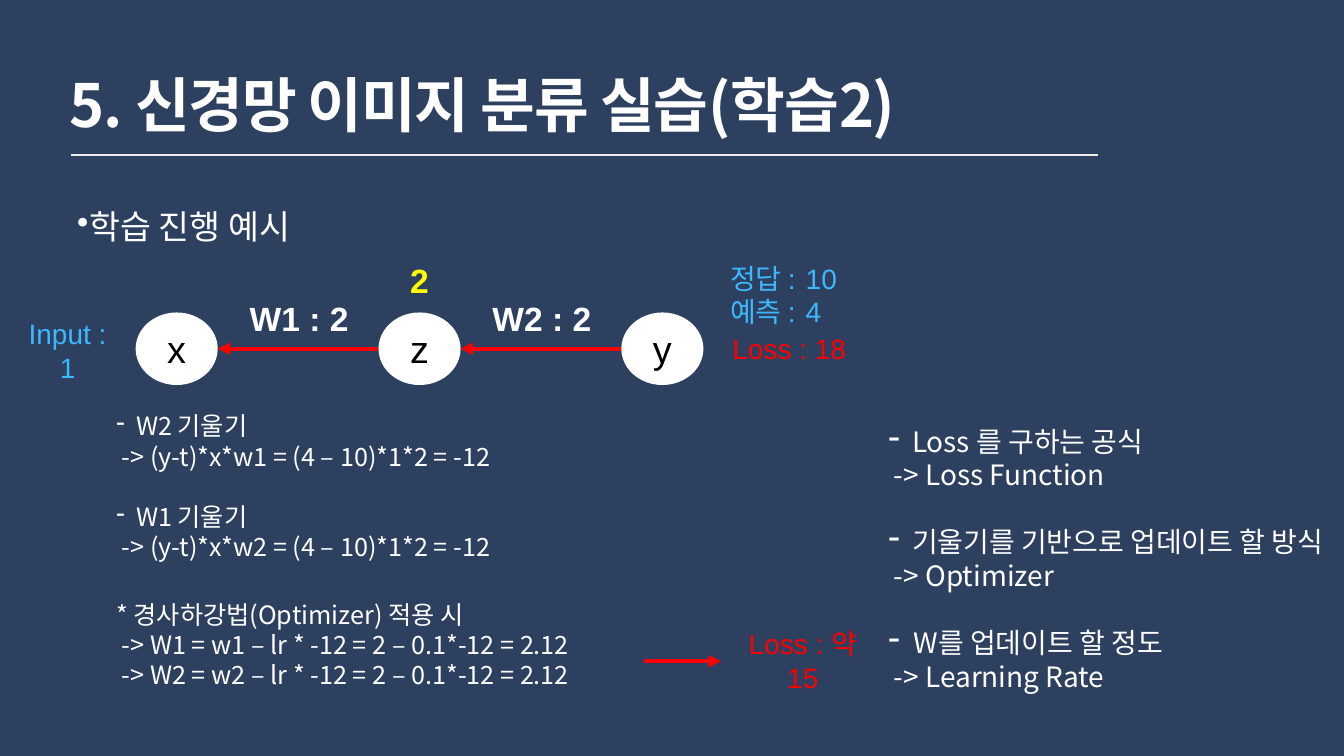
from dataclasses import dataclass

from lxml.etree import SubElement as Sub
from pptx import Presentation
from pptx.dml.color import RGBColor as Rgb
from pptx.enum.shapes import MSO_CONNECTOR as Link, MSO_SHAPE as Form
from pptx.enum.text import MSO_ANCHOR as Anchor, PP_ALIGN as Align
from pptx.oxml.ns import qn
from pptx.util import Inches, Pt


@dataclass(frozen=True)
class Theme:
    back: str = "2D405F"
    white: str = "FFFFFF"
    black: str = "000000"
    rule: str = "ECECEC"
    red: str = "FF0000"
    blue: str = "3DB8FF"
    gold: str = "FFFF00"
    sans: str = "Arial"
    hangul: str = "Noto Sans CJK KR"
    title: int = 85
    node: int = 54
    head: int = 48
    body: int = 40
    small: int = 36


@dataclass
class Line:
    text: str
    mark: str = ""
    left: float = 0
    hang: float = 0
    scale: int = 100
    gap: float = 0
    tab: float = 0


def item(text, hang, scale=100, gap=0):
    return Line(text, "-", hang, hang, scale, gap)


def step(text):
    return Line("-> " + text, left=0.11)


def write(frame, lines, *, size, color, font, bold=False, align=Align.LEFT,
          pitch=None, track=0):
    for i, line in enumerate(lines):
        para = frame.paragraphs[0] if i == 0 else frame.add_paragraph()
        props = para._p.get_or_add_pPr()
        props.set("marL", str(Inches(line.left)))
        props.set("indent", str(Inches(-line.hang)))
        if line.mark:
            Sub(props, qn("a:buSzPct"), val=str(line.scale * 1000))
            Sub(props, qn("a:buChar"), char=line.mark)
        if line.tab:
            tabs = Sub(props, qn("a:tabLst"))
            Sub(tabs, qn("a:tab"), pos=str(Inches(line.tab)), algn="r")
        para.alignment = align
        if pitch:
            para.line_spacing = Pt(pitch)
        if line.gap:
            para.space_before = Pt(line.gap)
        run = para.add_run()
        run.text = line.text
        run.font.size = Pt(size)
        run.font.bold = bold
        run.font.color.rgb = Rgb.from_string(color)
        run.font.name = font
        mark = run._r.get_or_add_rPr()
        Sub(mark, qn("a:ea"), typeface=Theme.hangul)
        if track:
            mark.set("spc", str(round(track * 100)))


class Board:
    def __init__(self, deck, theme):
        self.theme = theme
        self.col = deck.slide_width / 100
        self.row = deck.slide_height / 100
        self.slide = deck.slides.add_slide(deck.slide_layouts[6])
        fill = self.slide.background.fill
        fill.solid()
        fill.fore_color.rgb = Rgb.from_string(theme.back)

    def area(self, x, y, w, h):
        return (round(x * self.col), round(y * self.row),
                round(w * self.col), round(h * self.row))

    def frame(self, shape, pad, anchor):
        frame = shape.text_frame
        frame.word_wrap = True
        frame.vertical_anchor = anchor
        frame.margin_left = frame.margin_right = Inches(pad)
        frame.margin_top = frame.margin_bottom = Inches(0.06)
        return frame

    def text(self, box, lines, pad=0.06, anchor=Anchor.TOP, **style):
        shape = self.slide.shapes.add_textbox(*self.area(*box))
        look = dict(font=self.theme.hangul, color=self.theme.white) | style
        write(self.frame(shape, pad, anchor), lines, **look)

    def label(self, box, text, pad=0.06, **style):
        look = dict(size=self.theme.body, font=self.theme.sans) | style
        self.text(box, [Line(text)], pad, Anchor.MIDDLE,
                  align=Align.CENTER, **look)

    def node(self, box, text):
        shape = self.slide.shapes.add_shape(Form.OVAL, *self.area(*box))
        shape.shadow.inherit = False
        shape.fill.solid()
        shape.fill.fore_color.rgb = Rgb.from_string(self.theme.white)
        shape.line.fill.background()
        write(self.frame(shape, 0.06, Anchor.MIDDLE), [Line(text)],
              size=self.theme.node, color=self.theme.black,
              font=self.theme.sans, align=Align.CENTER)

    def line(self, start, end, y, color, width, arrow=False):
        ends = self.area(start, y, end, y)
        link = self.slide.shapes.add_connector(Link.STRAIGHT, *ends)
        link.line.color.rgb = Rgb.from_string(color)
        link.line.width = Pt(width)
        if arrow:
            Sub(link.line._get_or_add_ln(), qn("a:tailEnd"), type="triangle")
        Sub(link._element.spPr, qn("a:effectLst"))


def main():
    deck = Presentation()
    deck.slide_width, deck.slide_height = Inches(26.67), Inches(15)
    look = Theme()
    board = Board(deck, look)

    board.text((4.95, 9.73, 88.75, 10.47),
               [Line("5. 신경망 이미지 분류 실습(학습2)")],
               size=look.title, bold=True, pitch=90, track=-1.7)
    board.line(5.32, 81.67, 20.53, look.rule, 2)
    board.text((5.51, 27.13, 45.93, 6.47),
               [Line("학습 진행 예시", "•", 0.25, 0.25)],
               size=look.head, pitch=55)

    first, pitch, wide, mid = 10.09, 18.07, 6.11, 46.13
    for i, name in enumerate("xzy"):
        board.node((first + i * pitch, 41.33, wide, 9.6), name)
    for i, name in enumerate(("W1 : 2", "W2 : 2")):
        left = first + i * pitch
        board.line(left + pitch, left + wide, mid, look.red, 6, arrow=True)
        board.label((left + 6.86, 39, 10.61, 6.13), name,
                    size=look.head, color=look.white, bold=True)

    board.label((28.31, 33.93, 5.81, 6.13), "2",
                size=look.head, color=look.gold, bold=True)
    board.label((1.05, 43.73, 7.95, 5.27), "Input : 1", color=look.blue)
    board.label((53.66, 43.47, 10.12, 5.27), "Loss : 18", color=look.red)
    board.text((53.69, 34.13, 9.64, 9.73),
               [Line("정답 :\t10", tab=2.22), Line("예측 :\t4", tab=2.22)],
               0.17, Anchor.MIDDLE, size=look.body, color=look.blue,
               font=look.sans, pitch=48)

    board.text((65.88, 55.53, 35.81, 36.67), [
        item("Loss 를 구하는 공식", 0.47, 123),
        step("Loss Function"),
        item("기울기를 기반으로 업데이트 할 방식", 0.47, 123, 48),
        step("Optimizer"),
        item("W를 업데이트 할 정도", 0.5, 123, 48),
        step("Learning Rate"),
    ], anchor=Anchor.MIDDLE, size=look.body, pitch=48)

    board.text((8.29, 53.93, 46.12, 20.87), [
        item("W2 기울기", 0.39),
        step("(y-t)*x*w1 = (4 – 10)*1*2 = -12"),
        item("W1 기울기", 0.39, gap=43.2),
        step("(y-t)*x*w2 = (4 – 10)*1*2 = -12"),
    ], 0.1, size=look.small, pitch=43.2)
    board.text((8.29, 78.87, 46.12, 12.8), [
        Line("* 경사하강법(Optimizer) 적용 시"),
        step("W1 = w1 – lr * -12 = 2 – 0.1*-12 = 2.12"),
        step("W2 = w2 – lr * -12 = 2 – 0.1*-12 = 2.12"),
    ], 0.1, size=look.small, pitch=43.2)

    board.label((53.62, 82.47, 12.22, 9.73), "Loss : 약 15", 0.25,
                color=look.red, pitch=48)
    board.line(47.92, 53.66, 87.47, look.red, 6, arrow=True)
    deck.save("out.pptx")


if __name__ == "__main__":
    main()
